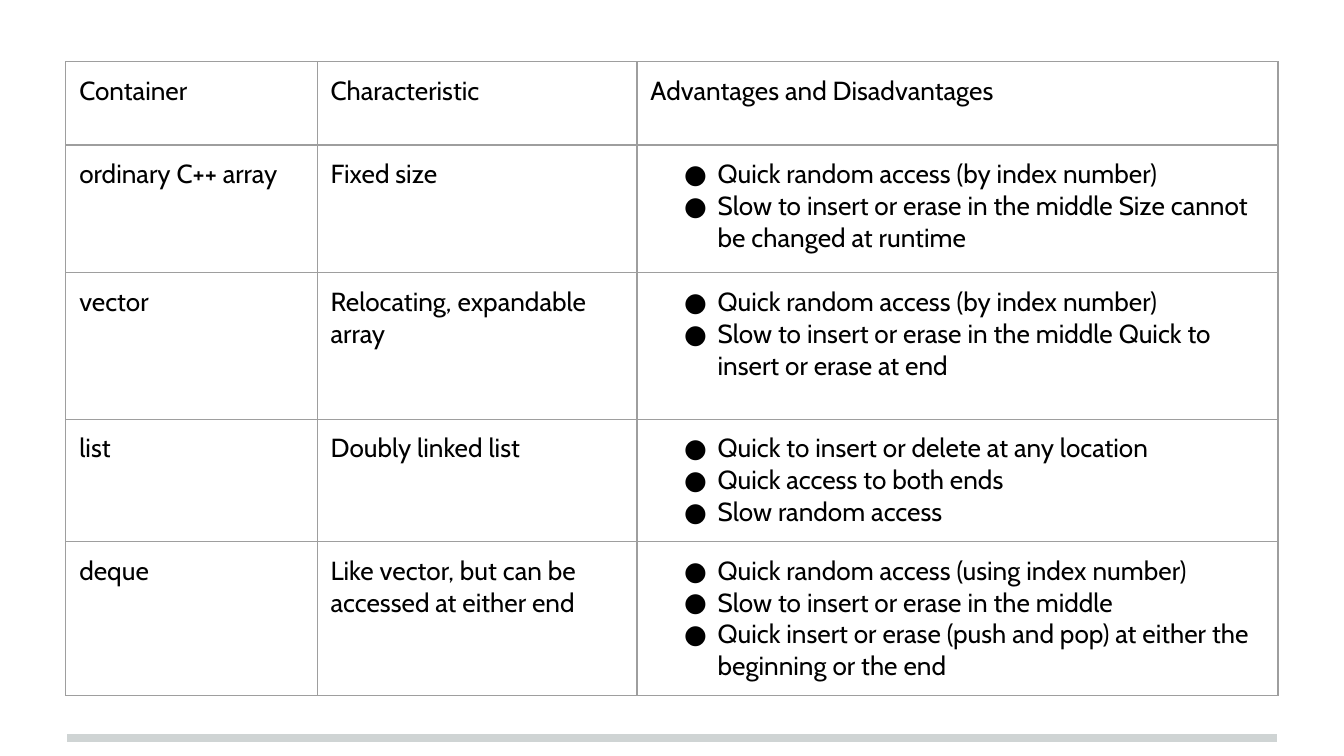
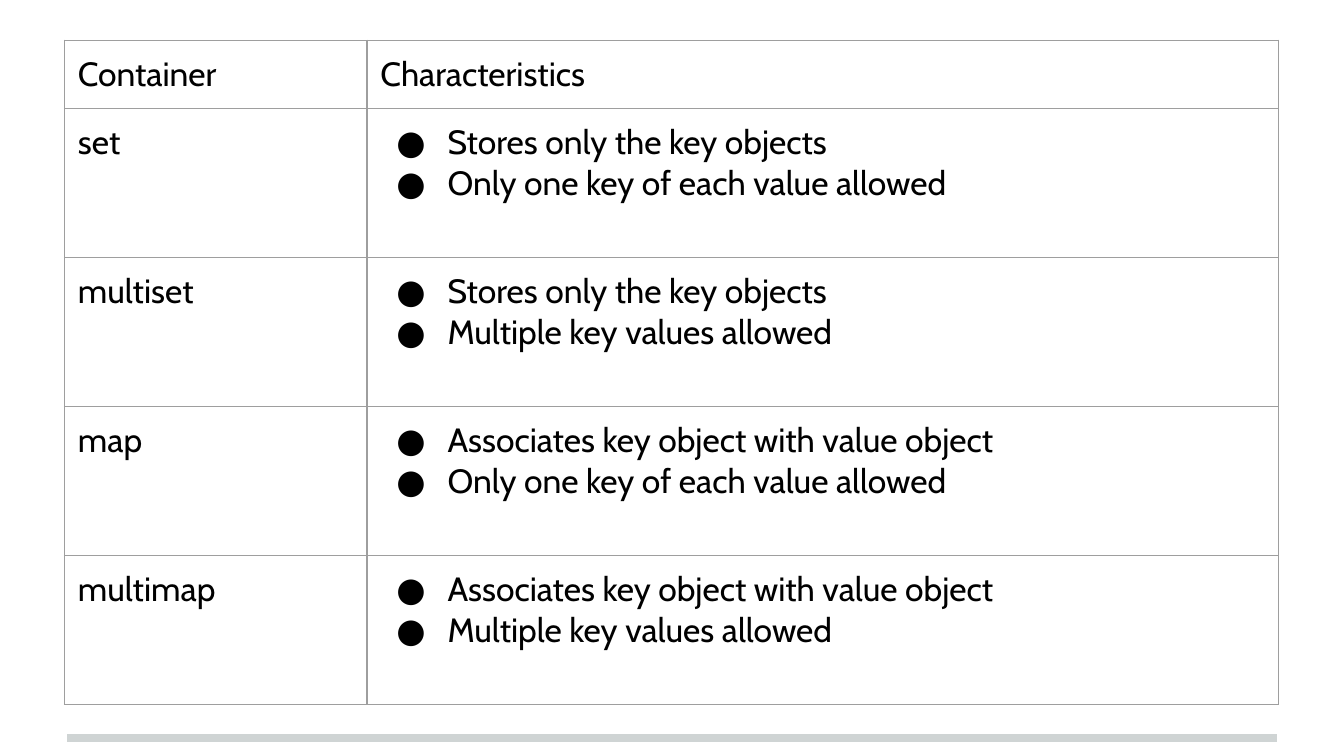
from lxml.etree import SubElement as Sub
from pptx import Presentation
from pptx.dml.color import RGBColor as RGB
from pptx.enum.shapes import MSO_CONNECTOR as Conn
from pptx.oxml.ns import qn
from pptx.util import Inches, Pt

HUE = {"text": "000000", "grid": "9E9E9E", "band": "CFD4D4"}
FONT = "Cabin"
PAD = Inches(0.1)

# A list in a cell is bulleted; a string is plain text.
TABLES = [
    {
        "at": (0.49, 0.46), "size": 14, "hang": 0.25,
        "cols": [1.87, 2.38, 4.77],
        "rows": [0.62, 0.95, 1.09, 0.91, 1.14],
        "cells": [
            ["Container", "Characteristic", "Advantages and Disadvantages"],
            ["ordinary C++ array", "Fixed size", [
                "Quick random access (by index number)",
                "Slow to insert or erase in the middle Size cannot be changed at runtime"]],
            ["vector", "Relocating, expandable array", [
                "Quick random access (by index number)",
                "Slow to insert or erase in the middle Quick to insert or erase at end"]],
            ["list", "Doubly linked list", [
                "Quick to insert or delete at any location",
                "Quick access to both ends",
                "Slow random access"]],
            ["deque", "Like vector, but can be accessed at either end", [
                "Quick random access (using index number)",
                "Slow to insert or erase in the middle",
                "Quick insert or erase (push and pop) at either the beginning or the end"]],
        ],
    },
    {
        "at": (0.48, 0.3), "size": 18, "hang": 0.38,
        "cols": [2.25, 6.78],
        "rows": [0.5] + [1.11] * 4,
        "cells": [
            ["Container", "Characteristics"],
            ["set", ["Stores only the key objects",
                     "Only one key of each value allowed"]],
            ["multiset", ["Stores only the key objects",
                          "Multiple key values allowed"]],
            ["map", ["Associates key object with value object",
                     "Only one key of each value allowed"]],
            ["multimap", ["Associates key object with value object",
                          "Multiple key values allowed"]],
        ],
    },
]


def frame(cell):
    """Give a cell its margins, thin borders on all sides and no fill."""
    cell.margin_left = cell.margin_right = PAD
    cell.margin_top = cell.margin_bottom = PAD
    props = cell._tc.get_or_add_tcPr()
    for side in ("lnL", "lnR", "lnT", "lnB"):
        edge = Sub(props, qn("a:" + side), w=str(Pt(0.75)))
        Sub(Sub(edge, qn("a:solidFill")), qn("a:srgbClr"), val=HUE["grid"])
    cell.fill.background()


def write(cell, text, size, hang):
    """Fill a cell with plain text, or with bullets when text is a list."""
    listed = isinstance(text, list)
    body = cell.text_frame
    for i, item in enumerate(text if listed else [text]):
        para = body.add_paragraph() if i else body.paragraphs[0]
        if listed:
            props = para._p.get_or_add_pPr()
            props.set("marL", str(Inches(0.5)))
            props.set("indent", str(-Inches(hang)))
            Sub(props, qn("a:buFont"), typeface=FONT)
            Sub(props, qn("a:buChar"), char="●")
        run = para.add_run()
        run.text = item
        run.font.size = Pt(size)
        run.font.name = FONT
        run.font.color.rgb = RGB.from_string(HUE["text"])


deck = Presentation()
deck.slide_width, deck.slide_height = Inches(10), Inches(5.625)
blank = deck.slide_layouts[6]

for spec_no, data in enumerate(TABLES):
    slide = deck.slides.add_slide(blank)

    # The bottom band is drawn once and moved to the shared layout.
    if spec_no == 0:
        band = slide.shapes.add_connector(
            Conn.STRAIGHT, Inches(0.5), Inches(5.49), Inches(9.5), Inches(5.49))
        band.line.color.rgb = RGB.from_string(HUE["band"])
        band.line.width = Pt(4)
        Sub(band.element.spPr, qn("a:effectLst"))
        band.element.nvCxnSpPr.cNvPr.set("id", "99")
        blank.shapes.element.append(band.element)

    cols, rows, cells = data["cols"], data["rows"], data["cells"]
    left, top = data["at"]
    table = slide.shapes.add_table(
        len(rows), len(cols), Inches(left), Inches(top),
        Inches(sum(cols)), Inches(sum(rows))).table
    table.first_row = table.horz_banding = False
    for col, width in zip(table.columns, cols):
        col.width = Inches(width)
    for row, height, texts in zip(table.rows, rows, cells):
        row.height = Inches(height)
        for cell, text in zip(row.cells, texts):
            frame(cell)
            write(cell, text, data["size"], data["hang"])

deck.save("out.pptx")
